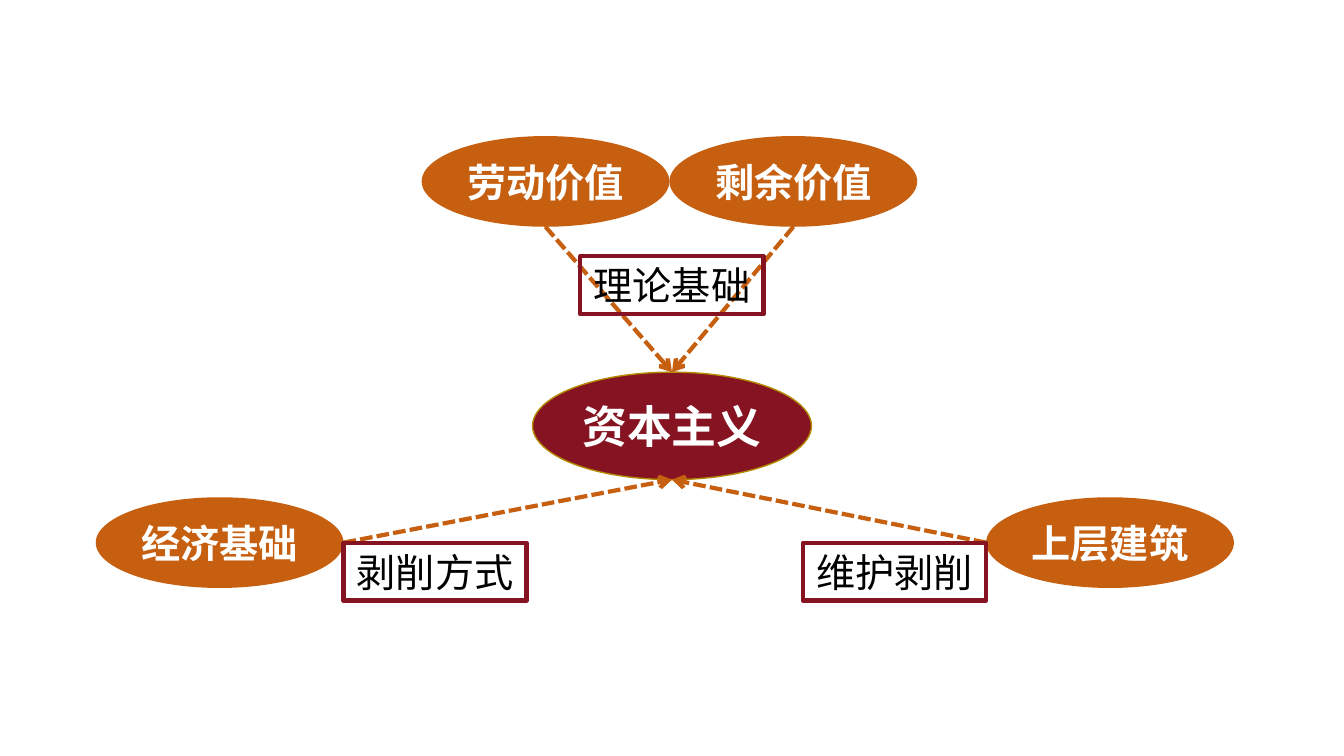
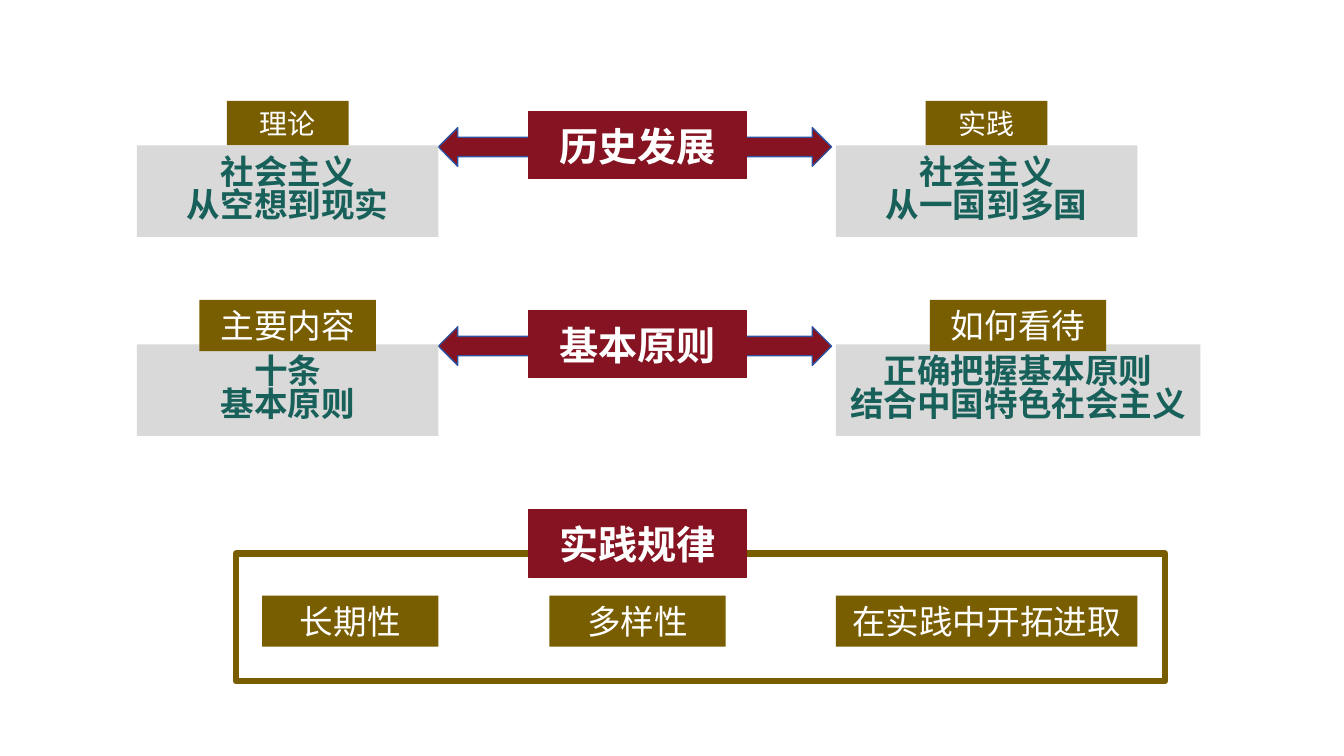
from dataclasses import dataclass

from lxml.etree import SubElement
from pptx import Presentation
from pptx.dml.color import RGBColor
from pptx.enum.dml import MSO_LINE
from pptx.enum.shapes import MSO_CONNECTOR, MSO_SHAPE
from pptx.enum.text import MSO_ANCHOR, PP_ALIGN
from pptx.oxml.ns import qn
from pptx.util import Inches, Pt

COLUMNS, ROWS = 80, 45
CELL = Inches(1 / 6)

CRIMSON, ORANGE, BRONZE = "851321", "C65F10", "795D01"
GOLD, BLUE, TEAL = "B38A01", "2E54A1", "18605A"
GREY, WHITE, BLACK = "D9D9D9", "FFFFFF", "000000"
SANS, SERIF = "Noto Sans CJK SC", "Times New Roman"


@dataclass
class Area:
    """A rectangle measured in grid columns and rows."""
    left: float
    top: float
    width: float
    height: float

    @property
    def right(self):
        return self.left + self.width

    @property
    def bottom(self):
        return self.top + self.height

    @property
    def center(self):
        return self.left + self.width / 2

    @property
    def middle(self):
        return self.top + self.height / 2


@dataclass
class TextStyle:
    size: float
    color: str = WHITE
    bold: bool = False
    font: str = SANS
    spacing: float = 1


HUB_TEXT = TextStyle(32, bold=True)
HEADING_TEXT = TextStyle(28, bold=True)
LABEL_TEXT = TextStyle(28, BLACK)
PANEL_TEXT = TextStyle(24, TEAL, True, SERIF, 0.83)
TAG_TEXT = TextStyle(24)
SMALL_TAG_TEXT = TextStyle(20)


def grid(*cells):
    return [round(cell * CELL) for cell in cells]


def rgb(color):
    return RGBColor.from_string(color)


def centered(center, top, width, height):
    return Area(center - width / 2, top, width, height)


def write(shape, lines, style):
    frame = shape.text_frame
    frame.word_wrap = False
    frame.vertical_anchor = MSO_ANCHOR.MIDDLE
    frame.margin_left = frame.margin_right = 0
    frame.margin_top = frame.margin_bottom = 0
    for index, line in enumerate(lines):
        para = frame.add_paragraph() if index else frame.paragraphs[0]
        para.alignment = PP_ALIGN.CENTER
        para.line_spacing = style.spacing
        span = para.add_run()
        span.text = line
        span.font.name = style.font
        span.font.size = Pt(style.size)
        span.font.bold = style.bold
        span.font.color.rgb = rgb(style.color)
        SubElement(span.font._element, qn("a:ea"), typeface=SANS)


def add_box(page, area, lines=(), style=None, fill=None, line=None, weight=1,
            kind=MSO_SHAPE.RECTANGLE):
    box = page.shapes.add_shape(
        kind, *grid(area.left, area.top, area.width, area.height))
    box.shadow.inherit = False
    if fill:
        box.fill.solid()
        box.fill.fore_color.rgb = rgb(fill)
    else:
        box.fill.background()
    if line:
        box.line.color.rgb = rgb(line)
        box.line.width = Pt(weight)
    else:
        box.line.fill.background()
    if lines:
        write(box, lines, style)


def add_dashed_arrow(page, start, end):
    arrow = page.shapes.add_connector(
        MSO_CONNECTOR.STRAIGHT, *grid(*start, *end))
    arrow.line.color.rgb = rgb(ORANGE)
    arrow.line.width = Pt(3)
    arrow.line.dash_style = MSO_LINE.SQUARE_DOT
    SubElement(arrow.line._get_or_add_ln(), qn("a:tailEnd"), type="arrow")
    SubElement(arrow._element.spPr, qn("a:effectLst"))


def add_label(page, text, center, top):
    add_box(page, centered(center, top, 10.9, 3.45), [text], LABEL_TEXT,
            line=CRIMSON, weight=3)


def add_heading(page, text, area):
    add_box(page, area, [text], HEADING_TEXT, CRIMSON, CRIMSON, 0.75)


def add_tag(page, text, area, style=TAG_TEXT):
    add_box(page, area, [text], style, BRONZE)


def build_concept_page(page):
    hub = centered(COLUMNS / 2, 22.15, 16.6, 6.4)
    width, height = 14.75, 5.4
    labor = Area(25.1, 8.1, width, height)
    surplus = Area(labor.right, labor.top, width, height)
    economy = Area(5.7, 29.6, width, height)
    superstructure = Area(58.7, economy.top, width, height)

    add_box(page, hub, ["资本主义"], HUB_TEXT, CRIMSON, GOLD,
            kind=MSO_SHAPE.OVAL)
    for text, area in (("劳动价值", labor), ("剩余价值", surplus),
                       ("经济基础", economy), ("上层建筑", superstructure)):
        add_box(page, area, [text], HEADING_TEXT, ORANGE, kind=MSO_SHAPE.OVAL)

    for area in (labor, surplus):
        add_dashed_arrow(page, (area.center, area.bottom),
                         (hub.center, hub.top))
    for edge in (economy.right, superstructure.left):
        add_dashed_arrow(page, (edge, economy.middle),
                         (hub.center, hub.bottom))

    add_label(page, "理论基础", hub.center, 15.25)
    add_label(page, "剥削方式", economy.right + 5.45, economy.middle)
    add_label(page, "维护剥削", superstructure.left - 5.45, economy.middle)


def build_outline_page(page):
    row_step = 11.85
    left, right, panel_width = 8.15, 49.75, 17.95
    headings = [Area(31.45, 6.65 + row * row_step, 13, 4) for row in range(3)]
    tag_width, tag_height = 10.5, 3.05

    # Each side: tag text, panel lines, panel left, panel width
    rows = (
        ("历史发展", SMALL_TAG_TEXT, 7.25, 2.65, (
            ("理论", ["社会主义", "从空想到现实"], left, panel_width),
            ("实践", ["社会主义", "从一国到多国"], right, panel_width))),
        ("基本原则", TAG_TEXT, tag_width, tag_height, (
            ("主要内容", ["十条", "基本原则"], left, panel_width),
            ("如何看待", ["正确把握基本原则", "结合中国特色社会主义"],
             right, 21.7))),
    )
    for index, (heading, style, width, height, sides) in enumerate(rows):
        offset = index * row_step
        add_box(page, Area(left + panel_width, 7.6 + offset, 23.4, 2.3),
                fill=CRIMSON, line=BLUE, kind=MSO_SHAPE.LEFT_RIGHT_ARROW)
        add_heading(page, heading, headings[index])
        for tag, lines, start, span_width in sides:
            panel = Area(start, 8.65 + offset, span_width, 5.45)
            add_box(page, panel, lines, PANEL_TEXT, GREY)
            add_tag(page, tag,
                    centered(panel.center, 6 + offset, width, height), style)

    add_box(page, Area(14.05, 32.95, 55.3, 7.6), line=BRONZE, weight=4.5)
    add_heading(page, "实践规律", headings[2])
    tag_top = 35.45
    add_tag(page, "长期性", Area(left + panel_width - tag_width, tag_top,
                              tag_width, tag_height))
    add_tag(page, "多样性", centered(headings[2].center, tag_top,
                                  tag_width, tag_height))
    add_tag(page, "在实践中开拓进取",
            Area(right, tag_top, panel_width, tag_height))


def main():
    deck = Presentation()
    deck.slide_width, deck.slide_height = grid(COLUMNS, ROWS)
    blank = deck.slide_layouts[6]
    for build in (build_concept_page, build_outline_page):
        build(deck.slides.add_slide(blank))
    deck.save("out.pptx")


if __name__ == "__main__":
    main()
